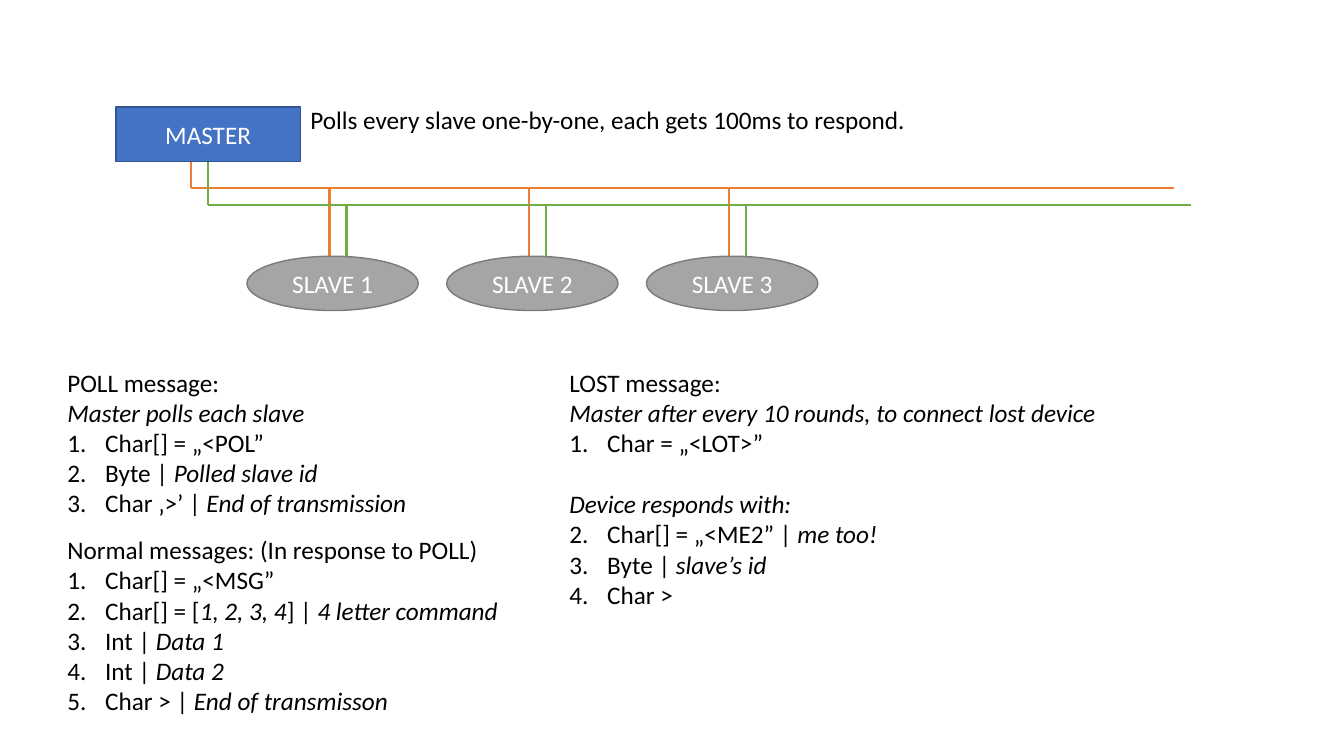
from lxml.etree import SubElement
from pptx import Presentation
from pptx.dml.color import RGBColor
from pptx.enum.shapes import MSO_CONNECTOR, MSO_SHAPE
from pptx.enum.text import MSO_ANCHOR, PP_ALIGN
from pptx.oxml.ns import qn
from pptx.util import Pt

FONT, FONT_SIZE, LINE_HEIGHT = "Calibri", 18, 22
BLACK, WHITE = "000000", "FFFFFF"
INDENT = 27

SLAVES = ["SLAVE 1", "SLAVE 2", "SLAVE 3"]
WIRE_COLORS = ["ED7D31", "70AD47"]

# Each paragraph: (number or None, runs alternating upright and italic, space before)
POLLING_NOTE = [(None, ["Polls every slave one-by-one, each gets 100ms to respond."], 0)]
POLL_MESSAGE = [
    (None, ["POLL message:"], 0),
    (None, ["", "Master polls each slave"], 0),
    (1, ["Char[] = „<POL”"], 0),
    (1, ["Byte | ", "Polled slave id"], 0),
    (1, ["Char ‚>’ | ", "End of transmission"], 0),
]
NORMAL_MESSAGES = [
    (None, ["Normal messages: (In response to POLL)"], 0),
    (1, ["Char[] = „<MSG”"], 0),
    (1, ["Char[] = [", "1, 2, 3, 4", "] | ", "4 letter command"], 0),
    (1, ["Int | ", "Data 1"], 0),
    (1, ["Int | ", "Data 2"], 0),
    (1, ["Char > | ", "End of transmisson"], 0),
]
LOST_MESSAGE = [
    (None, ["LOST message:"], 0),
    (None, ["", "Master after every 10 rounds, to connect lost device"], 0),
    (1, ["Char = „<LOT>”"], 0),
    (None, ["", "Device responds with:"], LINE_HEIGHT),
    (2, ["Char[] = „<ME2” | ", "me too!"], 0),
    (2, ["Byte | ", "slave’s id"], 0),
    (2, ["Char >"], 0),
]
TEXT_BLOCKS = [
    (POLLING_NOTE, 214.6, 70.6, 440, 29, False),
    (POLL_MESSAGE, 41, 258.5, 258.5, 117, False),
    (NORMAL_MESSAGES, 41, 378.3, 356, 138, True),
    (LOST_MESSAGE, 399.6, 258.5, 480, 181, False),
]

MASTER_LEFT, MASTER_TOP, MASTER_WIDTH, NODE_HEIGHT = 82.8, 76.4, 131.8, 38.8
SLAVE_LEFT, SLAVE_TOP, SLAVE_WIDTH, SLAVE_PITCH = 176.4, 183, 122.4, 142.7
BUS_LEFT, BUS_TOP, BUS_LENGTH, WIRE_GAP = 136.6, 134.4, 702, 12.1
DROP_OFFSET = 59


def color(value):
    return RGBColor.from_string(value)


def add_run(paragraph, text, text_color, italic=False):
    run = paragraph.add_run()
    run.text = text
    run.font.name = FONT
    run.font.size = Pt(FONT_SIZE)
    run.font.italic = italic
    run.font.color.rgb = color(text_color)


def add_wire(x1, y1, x2, y2, wire_color):
    wire = slide.shapes.add_connector(
        MSO_CONNECTOR.STRAIGHT, Pt(x1), Pt(y1), Pt(x2), Pt(y2))
    wire.line.color.rgb = color(wire_color)
    wire.line.width = Pt(1.5)
    SubElement(wire.element.spPr, qn("a:effectLst"))


def add_node(kind, label, left, top, width, fill, outline):
    shape = slide.shapes.add_shape(kind, Pt(left), Pt(top), Pt(width), Pt(NODE_HEIGHT))
    shape.shadow.inherit = False
    shape.fill.solid()
    shape.fill.fore_color.rgb = color(fill)
    shape.line.color.rgb = color(outline)
    shape.line.width = Pt(1)
    shape.text_frame.vertical_anchor = MSO_ANCHOR.MIDDLE
    paragraph = shape.text_frame.paragraphs[0]
    paragraph.alignment = PP_ALIGN.CENTER
    add_run(paragraph, label, WHITE)


def number_paragraph(paragraph, start):
    properties = paragraph._p.get_or_add_pPr()
    properties.set("marL", str(Pt(INDENT)))
    properties.set("indent", str(-Pt(INDENT)))
    SubElement(properties, qn("a:buFont"), typeface="+mj-lt")
    SubElement(properties, qn("a:buAutoNum"), type="arabicPeriod", startAt=str(start))


def add_text_block(content, left, top, width, height, wrap):
    frame = slide.shapes.add_textbox(Pt(left), Pt(top), Pt(width), Pt(height)).text_frame
    frame.word_wrap = wrap
    for index, (start, runs, space_before) in enumerate(content):
        paragraph = frame.add_paragraph() if index else frame.paragraphs[0]
        if space_before:
            paragraph.space_before = Pt(space_before)
        if start:
            number_paragraph(paragraph, start)
        for position, text in enumerate(runs):
            if text:
                add_run(paragraph, text, BLACK, italic=position % 2 == 1)


presentation = Presentation()
presentation.slide_width, presentation.slide_height = Pt(960), Pt(540)
slide = presentation.slides.add_slide(presentation.slide_layouts[6])

slave_lefts = [SLAVE_LEFT + index * SLAVE_PITCH for index in range(len(SLAVES))]
for index, wire_color in enumerate(WIRE_COLORS):
    shift = index * WIRE_GAP
    bus_x, bus_y = BUS_LEFT + shift, BUS_TOP + shift
    add_wire(bus_x, bus_y, bus_x + BUS_LENGTH, bus_y, wire_color)
    add_wire(bus_x, bus_y, bus_x, MASTER_TOP + NODE_HEIGHT, wire_color)
    for left in slave_lefts:
        drop_x = left + DROP_OFFSET + shift
        add_wire(drop_x, SLAVE_TOP + NODE_HEIGHT / 2, drop_x, bus_y, wire_color)

add_node(MSO_SHAPE.RECTANGLE, "MASTER", MASTER_LEFT, MASTER_TOP, MASTER_WIDTH,
         "4472C4", "325491")
for label, left in zip(SLAVES, slave_lefts):
    add_node(MSO_SHAPE.OVAL, label, left, SLAVE_TOP, SLAVE_WIDTH, "A5A5A5", "7A7A7A")

for block in TEXT_BLOCKS:
    add_text_block(*block)

presentation.save("out.pptx")
